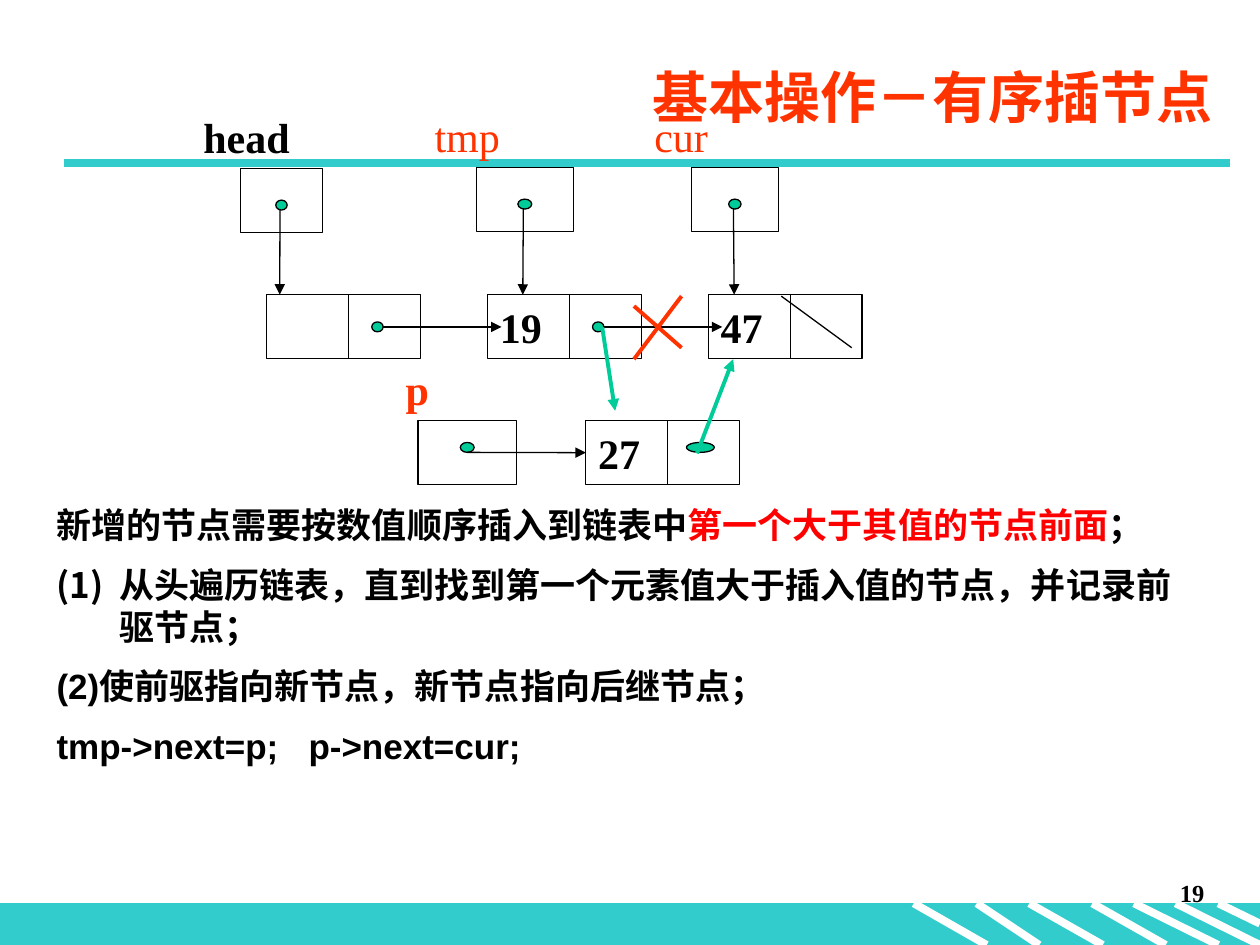
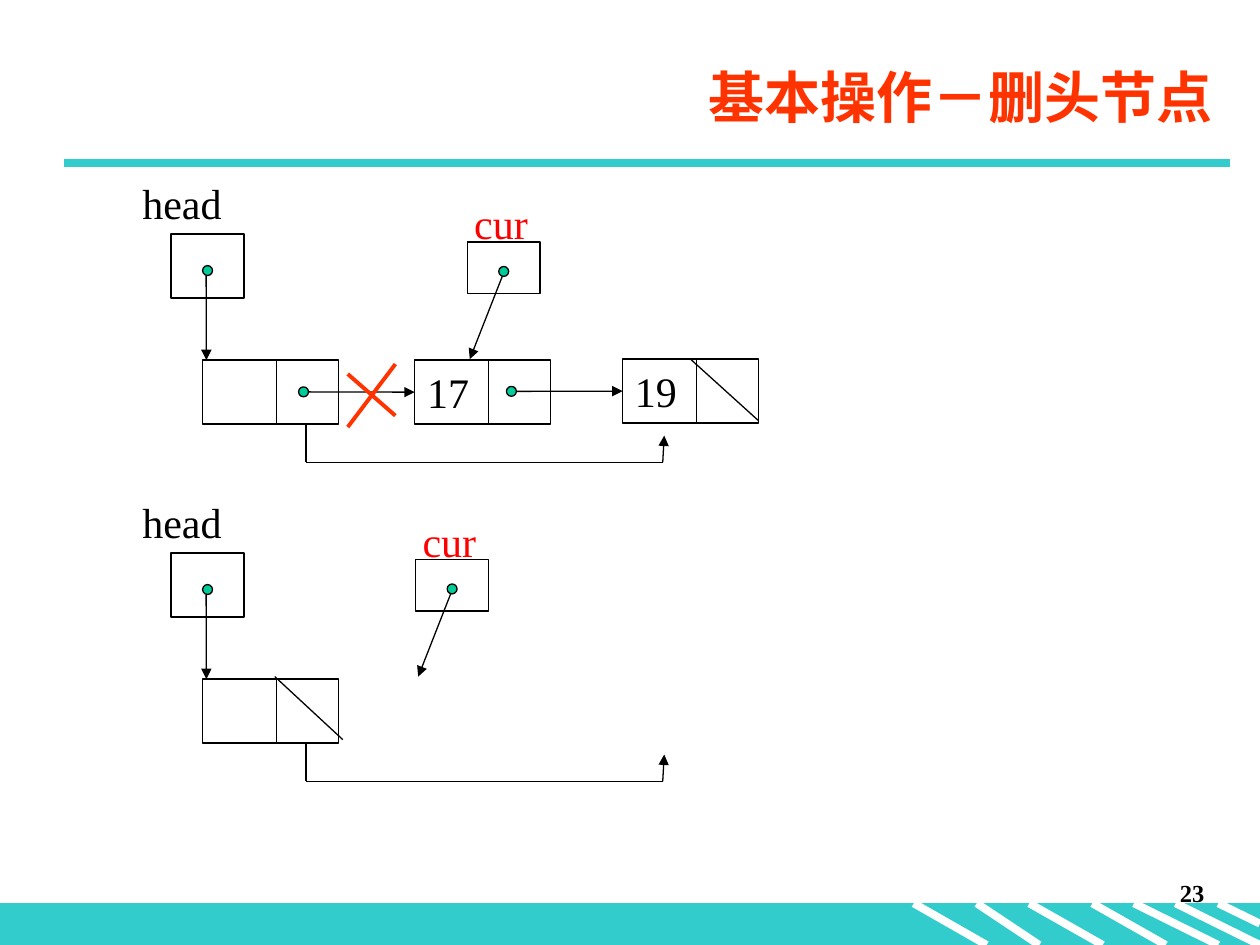
from dataclasses import dataclass

from lxml.etree import SubElement
from pptx import Presentation
from pptx.dml.color import RGBColor
from pptx.enum.shapes import MSO_CONNECTOR as Connector, MSO_SHAPE as Preset
from pptx.enum.text import MSO_ANCHOR as Anchor, MSO_AUTO_SIZE as AutoSize, PP_ALIGN as Align
from pptx.oxml.ns import qn
from pptx.util import Cm, Pt


@dataclass(frozen=True)
class Theme:
    black: str = "000000"
    white: str = "FFFFFF"
    teal: str = "33CCCC"
    green: str = "00CC99"
    orange: str = "FF3300"
    red: str = "FF0000"
    title_size: int = 32
    label_size: int = 24
    body_size: int = 20
    number_size: int = 14
    thin: float = 0.75
    medium: float = 2.25
    thick: float = 4.5
    sans: str = "Arial"
    serif: str = "Times New Roman"
    chinese: str = "Noto Sans CJK SC"


THEME = Theme()
BAND_TOP, PAGE_WIDTH, PAGE_HEIGHT = 18.21, 25.4, 19.05
STRIPES = [(18.42, 19.89), (19.69, 20.95), (20.75, 22.23), (22.02, 23.5),
           (22.86, 24.56), (23.7, 25.4)]
ROW_HEIGHT = 1.29


def set_all(target, values):
    for name, value in values.items():
        setattr(target, name, value)


class Sketch:
    """Draws linked-list diagrams on the current page; lengths are in centimetres."""

    def __init__(self, deck, theme):
        self.deck, self.theme = deck, theme
        self.page = None
        self.node_width = self.node_split = 0
        self.bold = False

    def start_page(self, title, number, node_width, node_split, bold):
        self.page = self.deck.slides.add_slide(self.deck.slide_layouts[5])
        self.node_width, self.node_split, self.bold = node_width, node_split, bold
        theme = self.theme
        heading = self.page.shapes.title
        set_all(heading, dict(left=Cm(11.91), top=Cm(1.12), width=Cm(12.8), height=Cm(1.63)))
        self.fill_frame(heading.text_frame, [[(title, theme.orange)]], theme.title_size,
                        theme.chinese, align=Align.RIGHT, anchor=Anchor.MIDDLE)
        self.shape(Preset.RECTANGLE, 0, BAND_TOP, PAGE_WIDTH, PAGE_HEIGHT - BAND_TOP,
                   theme.teal, theme.teal)
        stripe = dict(color=theme.white, width=theme.thick)
        for upper, lower in STRIPES:
            self.line((upper, BAND_TOP), (lower, PAGE_HEIGHT), **stripe)
        self.line((24.56, BAND_TOP), (PAGE_WIDTH, 18.62), **stripe)
        self.line((1.3, 3.28), (24.79, 3.28), color=theme.teal, width=theme.thick)
        self.text([[(number, theme.black)]], 19.25, 17.58, 5.28, 1.27,
                  theme.number_size, theme.serif, align=Align.RIGHT)

    def fill_frame(self, frame, paragraphs, size, font, bold=True, align=Align.LEFT,
                   anchor=Anchor.TOP):
        """Fill a frame; each paragraph is a list of (text, colour) spans."""
        set_all(frame, dict(word_wrap=True, auto_size=AutoSize.NONE, vertical_anchor=anchor))
        for index, spans in enumerate(paragraphs):
            para = frame.add_paragraph() if index else frame.paragraphs[0]
            para.alignment = align
            if index:
                para.space_before = Pt(size / 2)
            for words, color in spans:
                span = para.add_run()
                span.text = words
                set_all(span.font, dict(size=Pt(size), bold=bold, name=font))
                span.font.color.rgb = RGBColor.from_string(color)
                east_asian = SubElement(span._r.get_or_add_rPr(), qn("a:ea"))
                east_asian.set("typeface", self.theme.chinese)

    def text(self, paragraphs, left, top, width, height, size, font, **style):
        box = self.page.shapes.add_textbox(Cm(left), Cm(top), Cm(width), Cm(height))
        self.fill_frame(box.text_frame, paragraphs, size, font, **style)
        return box

    def shape(self, preset, left, top, width, height, fill=None, outline=THEME.black):
        shape = self.page.shapes.add_shape(preset, Cm(left), Cm(top), Cm(width), Cm(height))
        shape.shadow.inherit = False
        if fill:
            shape.fill.solid()
            shape.fill.fore_color.rgb = RGBColor.from_string(fill)
        else:
            shape.fill.background()
        shape.line.color.rgb = RGBColor.from_string(outline)
        shape.line.width = Pt(self.theme.thin)
        return shape

    def line(self, start, end, color=THEME.black, width=THEME.thin, arrow=False):
        points = [Cm(value) for value in (*start, *end)]
        line = self.page.shapes.add_connector(Connector.STRAIGHT, *points)
        line.line.color.rgb = RGBColor.from_string(color)
        line.line.width = Pt(width)
        props = line._element.spPr
        if arrow:
            SubElement(props.find(qn("a:ln")), qn("a:tailEnd")).set("type", "triangle")
        SubElement(props, qn("a:effectLst"))
        return line

    def dot(self, x, y, width=0.23, height=0.2):
        self.shape(Preset.OVAL, x - width / 2, y - height / 2, width, height, self.theme.green)

    def node(self, left, top, value=""):
        """Draw a two-part list node: value cell and next cell."""
        box = self.shape(Preset.RECTANGLE, left, top, self.node_width, ROW_HEIGHT)
        if value:
            self.fill_frame(box.text_frame, [[(value, self.theme.black)]],
                            self.theme.label_size, self.theme.serif, self.bold,
                            anchor=Anchor.MIDDLE)
        divider = left + self.node_split
        self.line((divider, top), (divider, top + ROW_HEIGHT))
        return box

    def variable(self, name, left, top, width, height=ROW_HEIGHT, color=THEME.black,
                 bold=False, shift=-1.0, rise=1.27):
        """Draw a pointer variable's box with its name above."""
        self.shape(Preset.RECTANGLE, left, top, width, height)
        self.text([[(name, color)]], left + shift, top - rise, 3.4, 1.27,
                  self.theme.label_size, self.theme.serif, bold=bold)

    def pointer(self, name, left, top, width, tip, height=ROW_HEIGHT, dot_width=0.23, **style):
        """Draw a variable with a dot and an arrow to the tip."""
        self.variable(name, left, top, width, height, **style)
        x, y = left + width / 2, top + 0.57 * height
        self.dot(x, y, dot_width)
        self.line((x - 0.03, y + 0.1), tip, arrow=True)

    def link(self, x, y, end_x, target=None, dot_width=0.23):
        self.dot(x, y, dot_width)
        arrow = self.line((x + dot_width / 2, y), (end_x, y), arrow=True)
        if target:
            arrow.end_connect(target, 1)

    def cross(self, left, top):
        pen = dict(color=self.theme.orange, width=self.theme.medium)
        self.line((left + 0.96, top), (left, top + 1.27), **pen)
        self.line((left, top + 0.2), (left + 0.96, top + 1.04), **pen)

    def detour(self, top):
        corners = [(6.17, top), (6.17, top + 0.79), (13.36, top + 0.79), (13.39, top + 0.25)]
        for start, end in zip(corners, corners[1:]):
            self.line(start, end, arrow=end == corners[-1])


def number_paragraph(para):
    props = para._p.get_or_add_pPr()
    props.set("marL", str(Cm(1.27)))
    props.set("indent", str(-Cm(1.27)))
    SubElement(props, qn("a:buFontTx"))
    SubElement(props, qn("a:buAutoNum")).set("type", "arabicParenBoth")


def build_insert_page(sketch):
    theme = sketch.theme
    sketch.start_page("基本操作－有序插节点", "19", node_width=3.1, node_split=1.65, bold=True)
    body = sketch.text([
        [("新增的节点需要按数值顺序插入到链表中", theme.black),
         ("第一个大于其值的节点前面", theme.red), ("；", theme.black)],
        [("从头遍历链表，直到找到第一个元素值大于插入值的节点，并记录前驱节点；", theme.black)],
        [("(2)使前驱指向新节点，新节点指向后继节点；", theme.black)],
        [("tmp->next=p;\tp->next=cur;", theme.black)],
    ], 0.89, 10.03, 23.19, 5.82, theme.body_size, theme.sans)
    number_paragraph(body.text_frame.paragraphs[1])

    row, step = 5.94, 4.45
    for index, value in enumerate(["", "19", "47"]):
        sketch.node(5.38 + step * index, row, value)
    for index in range(2):
        x = 7.61 + step * index
        sketch.link(x, row + 0.65, x + 2.5)
    sketch.pointer("head", 4.85, 3.4, 1.65, (5.64, row), bold=True)
    sketch.pointer("tmp", 9.6, 3.38, 1.96, (10.54, row), dot_width=0.28,
                   color=theme.orange, shift=-1.09)
    sketch.pointer("cur", 13.94, 3.38, 1.75, (14.8, row), dot_width=0.25, color=theme.orange)
    sketch.cross(12.78, 5.97)
    sketch.line((15.75, 5.97), (17.17, 7.01))

    new_row = 8.48
    new_node = sketch.node(11.81, new_row, "27")
    sketch.variable("p", 8.43, new_row, 1.98, color=theme.orange, bold=True, shift=-0.5)
    sketch.dot(9.42, 9.02, 0.28)
    sketch.line((9.42, 9.12), (11.81, 9.12), arrow=True).end_connect(new_node, 1)
    sketch.dot(14.12, 9.02, 0.56)
    for start, end in [((12.14, 6.6), (12.4, 8.28)), ((14.05, 9.14), (14.78, 7.24))]:
        sketch.line(start, end, theme.green, theme.medium, arrow=True)


def build_delete_page(sketch):
    theme = sketch.theme
    sketch.start_page("基本操作－删头节点", "23", node_width=2.74, node_split=1.49, bold=False)
    row, after = 7.26, 6.43
    for offset, cur_left, cur_top in [(0, 9.42, 4.88), (after, 8.38, 11.28)]:
        sketch.node(4.09, row + offset)
        sketch.pointer("head", 3.45, 4.72 + offset, 1.47, (4.16, row + offset),
                       dot_width=0.2, shift=-0.83)
        sketch.pointer("cur", cur_left, cur_top, 1.47, (cur_left + 0.05, cur_top + 2.36),
                       height=1.04, dot_width=0.2, color=theme.red, shift=-0.11, rise=1.02)
        sketch.detour(8.53 + offset)

    second, third = sketch.node(8.36, row, "17"), sketch.node(12.55, 7.24, "19")
    sketch.link(6.12, 7.9, 8.36, second, 0.2)
    sketch.link(10.31, 7.89, 12.55, third, 0.2)
    sketch.cross(7.01, 7.34)
    sketch.line((13.92, 7.24), (15.29, 8.48))
    sketch.line((5.54, 13.64), (6.91, 14.91))


def main():
    deck = Presentation()
    deck.slide_width, deck.slide_height = Cm(PAGE_WIDTH), Cm(PAGE_HEIGHT)
    sketch = Sketch(deck, THEME)
    build_insert_page(sketch)
    build_delete_page(sketch)
    deck.save("out.pptx")


if __name__ == "__main__":
    main()
